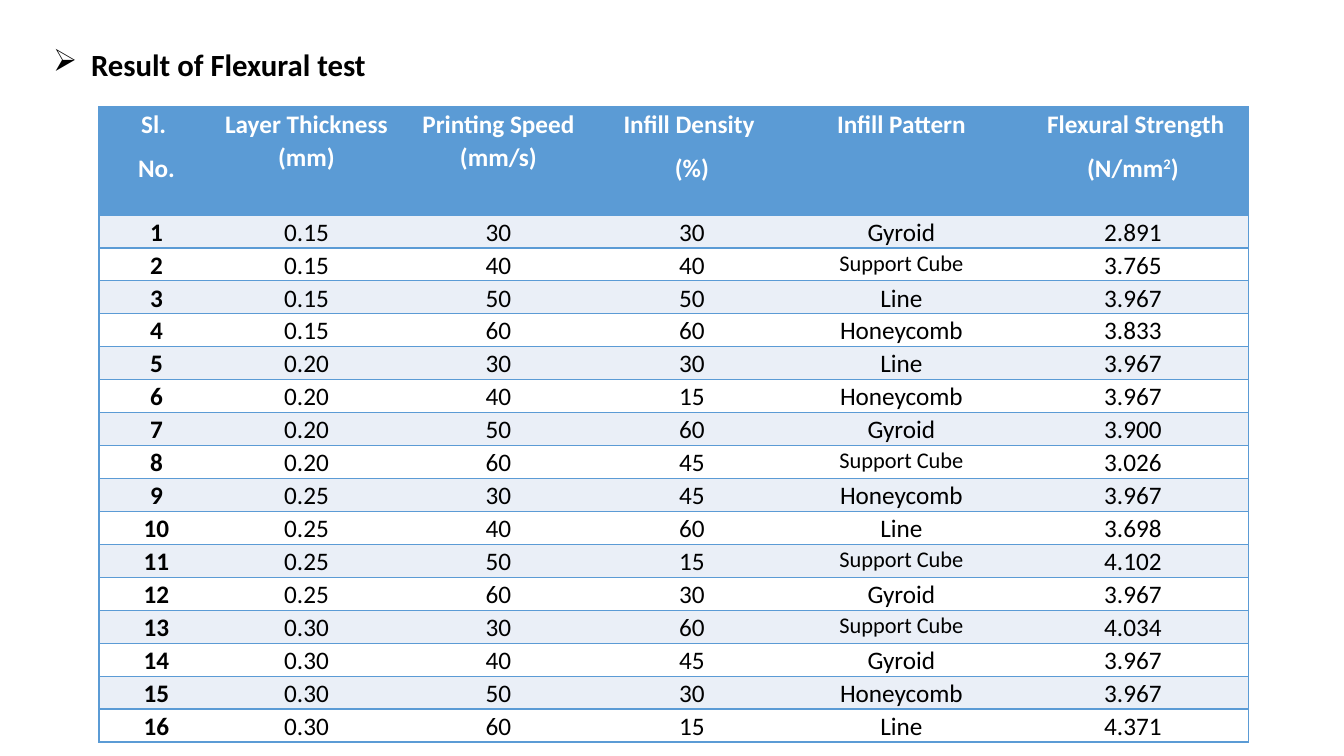
"""Build a slide with the table of flexural test results."""
from lxml.etree import SubElement
from pptx import Presentation
from pptx.dml.color import RGBColor
from pptx.enum.text import MSO_ANCHOR, MSO_AUTO_SIZE, PP_ALIGN
from pptx.oxml.ns import qn
from pptx.util import Pt

PX = 914400 / 100.8
BLACK = RGBColor(0x00, 0x00, 0x00)
WHITE = RGBColor(0xFF, 0xFF, 0xFF)
BLUE = RGBColor(0x5B, 0x9B, 0xD5)
PALE_BLUE = RGBColor(0xEA, 0xEF, 0xF7)
NO_STYLE_NO_GRID = "{2D5ABB26-0587-4C30-8999-92F81FD0307C}"


def px(length):
    return round(length * PX)


def write(text_frame, text, size=18, color=BLACK, bold=False,
          align=PP_ALIGN.CENTER, line_spacing=1.07, space_after=8):
    """Write one paragraph per line; text between carets is superscript."""
    for index, line in enumerate(text.split("\n")):
        paragraph = text_frame.add_paragraph() if index else text_frame.paragraphs[0]
        paragraph.alignment = align
        paragraph.line_spacing = line_spacing
        paragraph.space_after = Pt(space_after)
        for part_index, part in enumerate(line.split("^")):
            run = paragraph.add_run()
            run.text = part
            run.font.name = "Calibri"
            run.font.size = Pt(size)
            run.font.bold = bold
            run.font.color.rgb = color
            if part_index % 2:
                run._r.get_or_add_rPr().set("baseline", "30000")


presentation = Presentation()
presentation.slide_width = px(1344)
presentation.slide_height = px(756)
slide = presentation.slides.add_slide(presentation.slide_layouts[5])

title = slide.shapes.title
title.left, title.top, title.width, title.height = px(43), px(41), px(672), px(47)
title.text_frame.word_wrap = True
title.text_frame.auto_size = MSO_AUTO_SIZE.NONE
title.text_frame.vertical_anchor = MSO_ANCHOR.TOP
title_properties = title.text_frame.paragraphs[0]._p.get_or_add_pPr()
title_properties.set("marL", str(px(38)))
title_properties.set("indent", str(-px(38)))
SubElement(title_properties, qn("a:buChar"), char="➢")
write(title.text_frame, "Result of Flexural test", size=22, bold=True,
      align=PP_ALIGN.LEFT, line_spacing=1.0, space_after=0)

headers = ["Sl. \nNo.", "Layer Thickness (mm)", "Printing Speed (mm/s)",
           "Infill Density \n(%)", "Infill Pattern", " Flexural Strength\n(N/mm^2^)"]
results = [
    ("0.15", "30", "30", "Gyroid", "2.891"),
    ("0.15", "40", "40", "Support Cube", "3.765"),
    ("0.15", "50", "50", "Line", "3.967"),
    ("0.15", "60", "60", "Honeycomb", "3.833"),
    ("0.20", "30", "30", "Line", "3.967"),
    ("0.20", "40", "15", "Honeycomb", "3.967"),
    ("0.20", "50", "60", "Gyroid", "3.900"),
    ("0.20", "60", "45", "Support Cube", "3.026"),
    ("0.25", "30", "45", "Honeycomb", "3.967"),
    ("0.25", "40", "60", "Line", "3.698"),
    ("0.25", "50", "15", "Support Cube", "4.102"),
    ("0.25", "60", "30", "Gyroid", "3.967"),
    ("0.30", "30", "60", "Support Cube", "4.034"),
    ("0.30", "40", "45", "Gyroid", "3.967"),
    ("0.30", "50", "30", "Honeycomb", "3.967"),
    ("0.30", "60", "15", "Line", "4.371"),
]
rows = [headers] + [(str(number), *result) for number, result in enumerate(results, 1)]
column_widths = [115, 185, 199, 188, 231, 232]
row_heights = [108] + [32] * len(results)

table = slide.shapes.add_table(len(rows), len(headers), px(99), px(107),
                               px(sum(column_widths)), px(sum(row_heights))).table
table._tbl.tblPr.find(qn("a:tableStyleId")).text = NO_STYLE_NO_GRID
for column, width in zip(table.columns, column_widths):
    column.width = px(width)

for row_index, (values, height) in enumerate(zip(rows, row_heights)):
    table.rows[row_index].height = px(height)
    is_header = row_index == 0
    fill_color = BLUE if is_header else PALE_BLUE if row_index % 2 else WHITE
    for column_index, value in enumerate(values):
        cell = table.cell(row_index, column_index)
        cell.margin_left = cell.margin_right = px(7)
        cell.margin_top = cell.margin_bottom = 0
        cell.vertical_anchor = MSO_ANCHOR.TOP
        borders = ["a:lnT", "a:lnB"]
        if column_index == len(headers) - 1:
            borders.insert(0, "a:lnR")
        if column_index == 0:
            borders.insert(0, "a:lnL")
        for border in borders:
            line = SubElement(cell._tc.get_or_add_tcPr(), qn(border), w=str(Pt(1)))
            line_fill = SubElement(line, qn("a:solidFill"))
            SubElement(line_fill, qn("a:srgbClr"), val=str(BLUE))
        cell.fill.solid()
        cell.fill.fore_color.rgb = fill_color
        write(cell.text_frame, value,
              size=16 if value == "Support Cube" else 18,
              color=WHITE if is_header else BLACK,
              bold=is_header or column_index == 0)

presentation.save("out.pptx")
